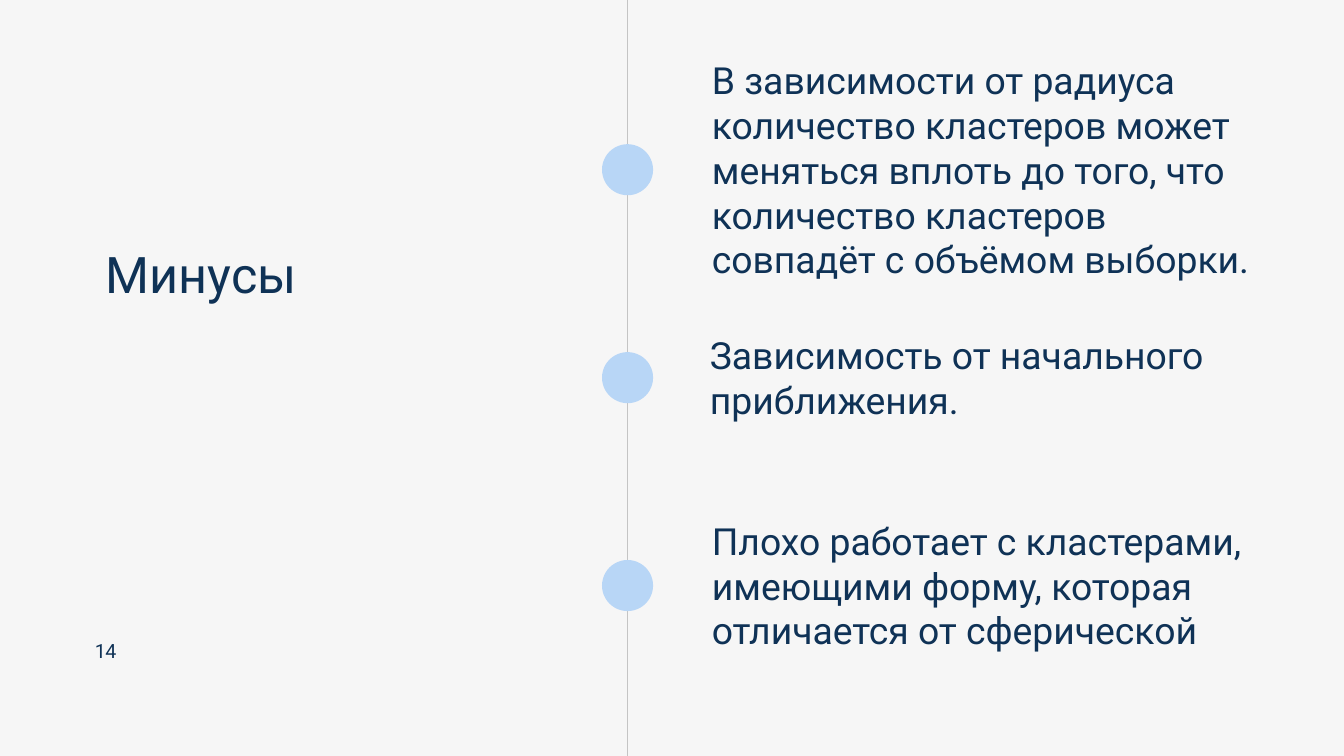
from pptx import Presentation
from pptx.dml.color import RGBColor
from pptx.enum.shapes import MSO_SHAPE as SHAPE
from pptx.enum.text import MSO_AUTO_SIZE as AUTO, PP_ALIGN as ALIGN
from pptx.oxml.ns import qn
from pptx.util import Emu, Pt
from lxml import etree

PX = 9525  # 96 px to the inch
W, H = 1920, 1080
NAVY, SKY, PAPER, BLACK = "0F3256", "B8D6F6", "F6F6F6", "000000"
FONT = "Roboto"

DOT, DOT_TOP, DOT_STEP = 73, 206, 297
# text, left, top, width, height relative to the timeline box
ITEMS = [
    ("В зависимости от радиуса количество кластеров может меняться вплоть "
     "до того, что количество кластеров совпадёт с объёмом выборки.",
     121, 82, 776, 324),
    ("Зависимость от начального приближения.", 118, 475, 779, 130),
    ("Плохо работает с кластерами, имеющими форму, которая отличается "
     "от сферической", 121, 740, 791, 194),
]


def px(*values):
    return [Emu(v * PX) for v in values]


def color(value):
    return RGBColor.from_string(value)


def add_text(s, box, text, size, spacing=None, align=ALIGN.LEFT):
    tf = s.shapes.add_textbox(*px(*box)).text_frame
    frame = dict(word_wrap=True, auto_size=AUTO.NONE, margin_left=0,
                 margin_top=0, margin_right=0, margin_bottom=0)
    for name, value in frame.items():
        setattr(tf, name, value)
    p = tf.paragraphs[0]
    p.alignment = align
    if spacing:
        p.line_spacing = Pt(spacing)
    r = p.add_run()
    r.text = text
    for name, value in dict(name=FONT, size=Pt(size)).items():
        setattr(r.font, name, value)
    r.font.color.rgb = color(NAVY)
    return r


def add_filled(s, kind, box, fill):
    sp = s.shapes.add_shape(kind, *px(*box))
    sp.shadow.inherit = False
    sp.fill.solid()
    sp.fill.fore_color.rgb = color(fill)
    sp.line.fill.background()
    return sp


def add_heading(s, x, y):
    # Title and page number
    add_text(s, (x + 151, y + 348, 372, 86), "Минусы", 54, spacing=64)
    r = add_text(s, (x + 122, y + 910, 58, 35), "14", 21, 27.3, ALIGN.CENTER)
    r.font._element.set("spc", "-60")


def add_timeline(s, x, y, h):
    # Faint vertical axis
    axis = add_filled(s, SHAPE.RECTANGLE, (x, y, 1, h), BLACK)
    clr = axis._element.spPr.find(qn("a:solidFill"))[0]
    etree.SubElement(clr, qn("a:alpha")).set("val", "20000")

    # One dot and one text for each drawback
    for i, (text, left, top, width, height) in enumerate(ITEMS):
        dot_y = y + DOT_TOP + i * DOT_STEP
        add_filled(s, SHAPE.OVAL, (x - DOT // 2, dot_y, DOT, DOT), SKY)
        add_text(s, (x + left, y + top, width, height), text, 40)


def main():
    prs = Presentation()
    prs.slide_width, prs.slide_height = px(W, H)
    s = prs.slides.add_slide(prs.slide_layouts[6])
    s.background.fill.solid()
    s.background.fill.fore_color.rgb = color(PAPER)
    add_heading(s, 0, 0)
    add_timeline(s, 896, 0, H)
    prs.save("out.pptx")


if __name__ == "__main__":
    main()
